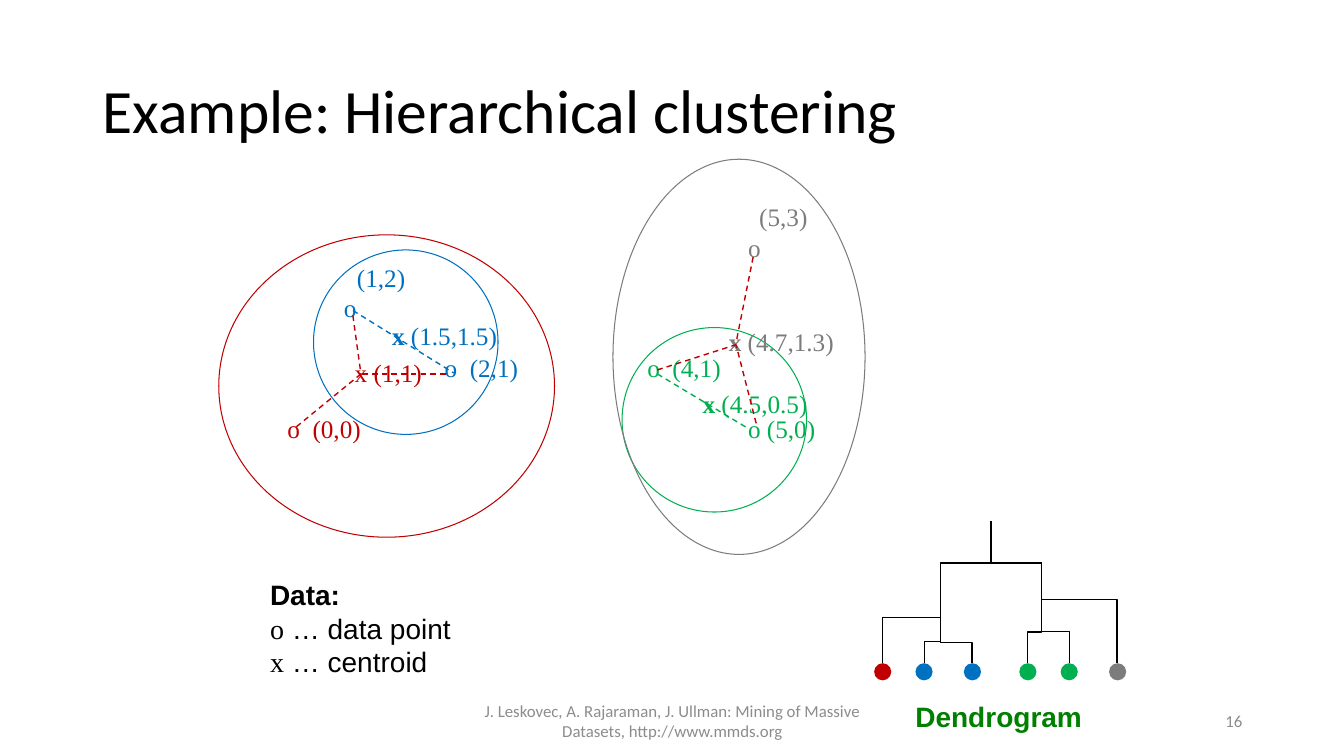
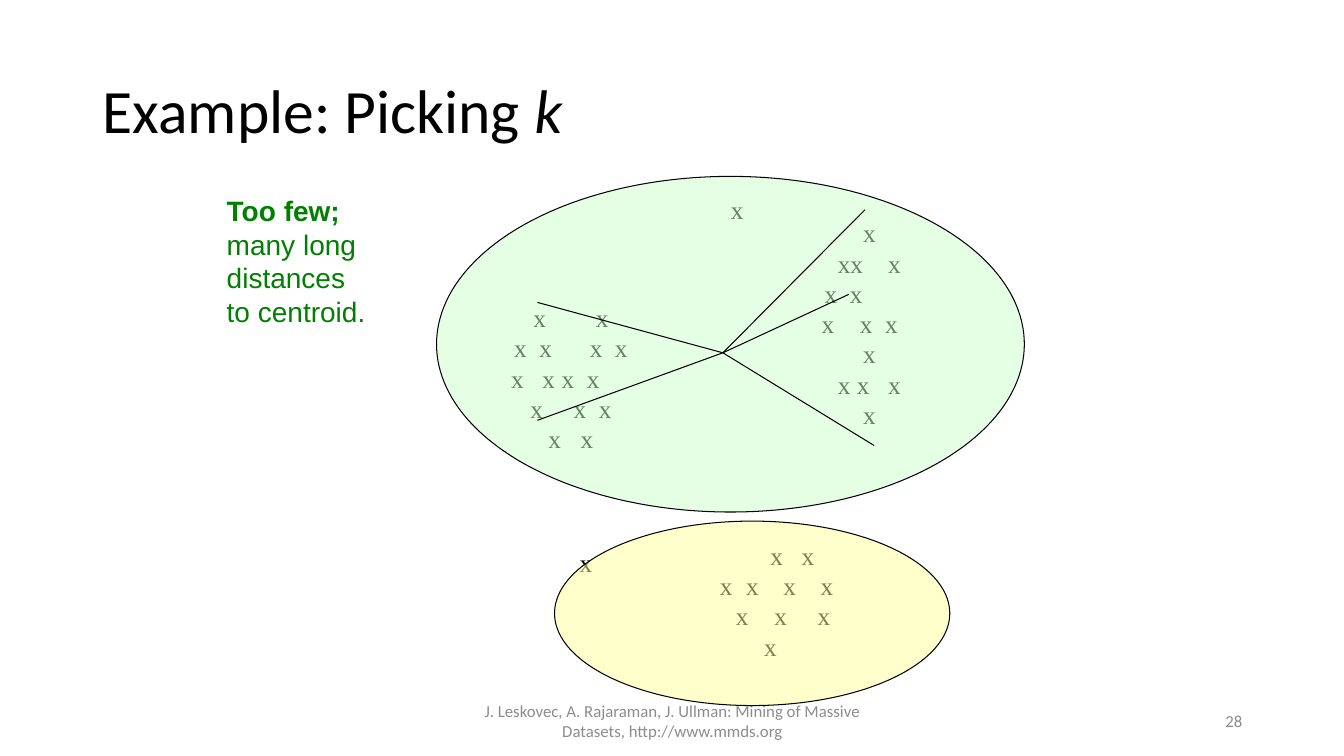
"""Build two slides on clustering: a hierarchical example and the choice of k."""
import dataclasses
import typing

import lxml.etree
import pptx
import pptx.dml.color
import pptx.enum.dml
import pptx.enum.shapes
import pptx.enum.text
import pptx.oxml.ns
import pptx.util

Inches = pptx.util.Inches
Pt = pptx.util.Pt
qn = pptx.oxml.ns.qn
ALIGN = pptx.enum.text.PP_ALIGN
ANCHOR = pptx.enum.text.MSO_ANCHOR
CONNECTOR = pptx.enum.shapes.MSO_CONNECTOR

BLACK, GRAY, MUTED = "000000", "7C7C7C", "8C8C8C"
RED, BLUE, GREEN, DARK_GREEN = "C00000", "0070C0", "00B050", "008000"
ROW_PITCH = Pt(21.6)
FOOTER = (
    "J. Leskovec, A. Rajaraman, J. Ullman: Mining of Massive Datasets, "
    "http://www.mmds.org"
)
TITLE_FORMAT = {"name": "Calibri", "size": Pt(44)}
FOOTER_FORMAT = {"name": "Calibri", "size": Pt(12)}
MARK_FORMAT = {"name": "Times New Roman", "size": Pt(18)}
NOTE_FORMAT = {"name": "Arial", "size": Pt(20)}
NOTE_MARK_FORMAT = NOTE_FORMAT | {"name": "Times New Roman"}
BOLD = {"bold": True}
Point = tuple[float, float]


class Box(typing.NamedTuple):
    """Left, top, width and height in inches."""

    left: float
    top: float
    width: float
    height: float

    def lengths(self) -> list[int]:
        return [Inches(value) for value in self]


@dataclasses.dataclass
class Run:
    """A stretch of text with one format."""

    text: str
    format: dict
    color: str = BLACK


@dataclasses.dataclass
class Mark:
    """A piece of text at a distance in inches from the left of its box."""

    position: float
    text: str = "x"
    color: str = BLACK


@dataclasses.dataclass
class Row:
    """Marks on one line, after a number of skipped lines."""

    marks: list[Mark]
    skipped: int = 0


@dataclasses.dataclass
class Ellipse:
    """An ellipse with an optional outline, fill and opacity in percent."""

    box: Box
    line: str | None = None
    fill: str | None = None
    opacity: int = 100


@dataclasses.dataclass
class Segment:
    """A straight line."""

    begin: Point
    end: Point
    color: str = BLACK
    width: float = 0.75
    dashed: bool = False


@dataclasses.dataclass
class Branch:
    """A bent line that rises, crosses at a share of its height and rises again."""

    begin: Point
    end: Point
    bend: float = 0.5


def rgb(color: str) -> pptx.dml.color.RGBColor:
    """Turn a hex string into a colour."""
    return pptx.dml.color.RGBColor.from_string(color)


def apply(target: typing.Any, values: dict) -> None:
    """Set each named value as an attribute."""
    for name, value in values.items():
        setattr(target, name, value)


def add_run(paragraph, run: Run) -> None:
    """Append a formatted run to a paragraph."""
    text_run = paragraph.add_run()
    text_run.text = run.text
    apply(text_run.font, run.format)
    text_run.font.color.rgb = rgb(run.color)


def add_frame(slide, box: Box, values: dict):
    """Add a wrapping text box and return its frame."""
    frame = slide.shapes.add_textbox(*box.lengths()).text_frame
    apply(frame, {"word_wrap": True} | values)
    return frame


def next_paragraph(frame, index: int):
    """Return the first paragraph of a frame, or a new one."""
    return frame.add_paragraph() if index else frame.paragraphs[0]


def add_text(slide, box: Box, lines: list[list[Run]], anchor=ANCHOR.TOP, **values) -> None:
    """Add paragraphs of runs in a text box."""
    frame = add_frame(slide, box, {"vertical_anchor": anchor})
    for index, line in enumerate(lines):
        paragraph = next_paragraph(frame, index)
        apply(paragraph, values)
        for run in line:
            add_run(paragraph, run)


def add_marks(slide, box: Box, rows: list[Row]) -> None:
    """Add rows of marks, each mark held by a tab stop."""
    margins = dict.fromkeys(
        ("margin_left", "margin_top", "margin_right", "margin_bottom"), 0
    )
    frame = add_frame(slide, box, margins)
    for index, row in enumerate(rows):
        paragraph = next_paragraph(frame, index)
        apply(paragraph, {"line_spacing": ROW_PITCH, "space_before": ROW_PITCH * row.skipped})
        properties = paragraph._p.get_or_add_pPr()
        stops = lxml.etree.SubElement(properties, qn("a:tabLst"))
        for mark in row.marks:
            position = str(Inches(mark.position))
            lxml.etree.SubElement(stops, qn("a:tab"), pos=position, algn="l")
            add_run(paragraph, Run("\t" + mark.text, MARK_FORMAT, mark.color))


def add_ellipse(slide, ellipse: Ellipse) -> None:
    """Draw an ellipse."""
    shape = slide.shapes.add_shape(
        pptx.enum.shapes.MSO_SHAPE.OVAL, *ellipse.box.lengths()
    )
    shape.shadow.inherit = False
    if ellipse.fill:
        shape.fill.solid()
        shape.fill.fore_color.rgb = rgb(ellipse.fill)
        color = shape._element.spPr.find(f"{qn('a:solidFill')}/{qn('a:srgbClr')}")
        if ellipse.opacity < 100:
            lxml.etree.SubElement(color, qn("a:alpha"), val=str(ellipse.opacity * 1000))
    else:
        shape.fill.background()
    if ellipse.line:
        shape.line.color.rgb = rgb(ellipse.line)
        shape.line.width = Pt(0.75)
    else:
        shape.line.fill.background()


def add_line(slide, segment: Segment, kind=CONNECTOR.STRAIGHT):
    """Draw a connector without a shadow."""
    ends = [Inches(value) for value in (*segment.begin, *segment.end)]
    connector = slide.shapes.add_connector(kind, *ends)
    connector.line.color.rgb = rgb(segment.color)
    connector.line.width = Pt(segment.width)
    if segment.dashed:
        connector.line.dash_style = pptx.enum.dml.MSO_LINE.DASH
    lxml.etree.SubElement(connector._element.spPr, qn("a:effectLst"))
    return connector


def add_branch(slide, branch: Branch) -> None:
    """Draw an elbow connector turned so that it starts upwards."""
    (left, bottom), (right, top) = branch.begin, branch.end
    direction = 1 if right > left else -1
    middle_x, middle_y = (left + right) / 2, (top + bottom) / 2
    reach, half_width = direction * (bottom - top) / 2, abs(right - left) / 2
    segment = Segment(
        (middle_x + reach, middle_y + half_width),
        (middle_x - reach, middle_y - half_width),
        width=1,
    )
    properties = add_line(slide, segment, CONNECTOR.ELBOW)._element.spPr
    properties.find(qn("a:xfrm")).set("rot", str((180 - 90 * direction) * 60000))
    adjustments = properties.find(f"{qn('a:prstGeom')}/{qn('a:avLst')}")
    formula = f"val {round(branch.bend * 100000)}"
    lxml.etree.SubElement(adjustments, qn("a:gd"), name="adj1", fmla=formula)


def add_slide(presentation, title: list[Run], number: int):
    """Add a slide with its title, footer and number."""
    slide = presentation.slides.add_slide(presentation.slide_layouts[6])
    middle = ANCHOR.MIDDLE
    add_text(slide, Box(0.92, 0.4, 11.5, 1.45), [title], middle, line_spacing=0.9)
    for box, text, alignment in (
        (Box(4.42, 6.95, 4.5, 0.4), FOOTER, ALIGN.CENTER),
        (Box(9.42, 6.95, 3, 0.4), str(number), ALIGN.RIGHT),
    ):
        run = Run(text, FOOTER_FORMAT, MUTED)
        add_text(slide, box, [[run]], middle, alignment=alignment)
    return slide


def build_hierarchy(presentation) -> None:
    """Build the slide with nested clusters and their dendrogram."""
    slide = add_slide(presentation, [Run("Example: Hierarchical clustering", TITLE_FORMAT)], 16)
    add_marks(slide, Box(2, 2, 6.5, 2.6), [
        Row([Mark(5.53, "(5,3)", GRAY)]),
        Row([Mark(5.42, "o", GRAY)]),
        Row([Mark(1.54, "(1,2)", BLUE)]),
        Row([Mark(1.41, "o", BLUE)]),
        Row([Mark(2.41, "o", BLUE), Mark(2.66, "(2,1)", BLUE),
             Mark(4.42, "o", GREEN), Mark(4.67, "(4,1)", GREEN)], 1),
        Row([Mark(0.85, "o", RED), Mark(1.1, "(0,0)", RED), Mark(5.42, "o (5,0)", GREEN)], 1),
    ])
    for box, color, label_at, label, weight in (
        (Box(3.11, 2.48, 1.83, 1.83), BLUE, (3.79, 3.13), " (1.5,1.5)", BOLD),
        (Box(6.17, 3.25, 1.83, 1.83), GREEN, (6.87, 3.8), " (4.5,0.5)", BOLD),
        (Box(2.17, 2.33, 3.33, 3), RED, (3.42, 3.5), " (1,1)", {}),
        (Box(6.08, 1.58, 2.5, 3.92), GRAY, (7.13, 3.19), " (4.7,1.3)", BOLD),
    ):
        add_ellipse(slide, Ellipse(box, color))
        runs = [Run("x", MARK_FORMAT | weight, color), Run(label, MARK_FORMAT, color)]
        add_text(slide, Box(*label_at, 1.4, 0.4), [runs])
    for left, color in (
        (8.67, RED), (9.08, BLUE), (9.56, BLUE), (10.11, GREEN), (10.52, GREEN), (11, GRAY),
    ):
        add_ellipse(slide, Ellipse(Box(left, 6.58, 0.17, 0.17), fill=color))
    for branch in (
        Branch((8.75, 6.58), (9.33, 5.67)),
        Branch((9.17, 6.58), (9.33, 6.08), 0.43),
        Branch((9.64, 6.58), (9.33, 6.17)),
        Branch((10.19, 6.58), (10.33, 6.17), 0.76),
        Branch((10.61, 6.58), (10.33, 5.92), 0.48),
        Branch((11.08, 6.58), (10.33, 5.58), 0.63),
        Branch((9.33, 6), (9.83, 5.17)),
        Branch((10.33, 5.83), (9.83, 5.17), 0.37),
    ):
        add_branch(slide, branch)
    add_text(slide, Box(2.58, 5.68, 2.2, 1.11), [
        [Run("Data:", NOTE_FORMAT | BOLD)],
        [Run("o", NOTE_MARK_FORMAT), Run(" … data point", NOTE_FORMAT)],
        [Run("x", NOTE_MARK_FORMAT), Run(" … centroid", NOTE_FORMAT)],
    ])
    dendrogram = Run("Dendrogram", NOTE_FORMAT | BOLD, DARK_GREEN)
    add_text(slide, Box(8.98, 6.89, 2, 0.44), [[dendrogram]])
    for begin, end, color in (
        ((3.5, 3.08), (4.5, 3.7), BLUE),
        ((6.52, 3.71), (7.42, 4.25), GREEN),
        ((3.5, 3.13), (3.58, 3.71), RED),
        ((4.42, 3.71), (3.58, 3.71), RED),
        ((3.58, 3.71), (2.92, 4.25), RED),
        ((7.47, 2.55), (7.3, 3.4), RED),
        ((6.52, 3.67), (7.3, 3.42), RED),
        ((7.5, 4.2), (7.3, 3.42), RED),
    ):
        add_line(slide, Segment(begin, end, color, 1, True))


def build_picking(presentation) -> None:
    """Build the slide with too few clusters."""
    title = [Run("Example: Picking ", TITLE_FORMAT), Run("k", TITLE_FORMAT | {"italic": True})]
    slide = add_slide(presentation, title, 28)
    for box, rows in (
        (Box(5, 3, 1.5, 1.5), [(0.29, 0.91), (0.1, 0.35, 0.85, 1.1),
                               (0.07, 0.38, 0.57, 0.82), (0.26, 0.69, 0.94), (0.44, 0.76)]),
        (Box(8, 2.16, 1.2, 2.1), [(0.56,), (0.31, 0.81), (0.18, 0.43), (0.15, 0.53, 0.78),
                                  (0.56,), (0.31, 0.5, 0.81), (0.56,)]),
        (Box(7, 5.36, 1.5, 1.2), [(0.64, 0.95), (0.14, 0.4, 0.77, 1.14),
                                  (0.3, 0.68, 1.11), (0.58,)]),
        (Box(7.15, 1.93, 0.33, 0.3), [(0.1,)]),
        (Box(5.65, 5.43, 0.33, 0.3), [(0.1,)]),
    ):
        add_marks(slide, box, [
            Row([Mark(left, "xx" if left == 0.31 and len(row) == 2 else "x") for left in row])
            for row in rows
        ])
    add_ellipse(slide, Ellipse(Box(4.33, 1.75, 5.83, 3.33), BLACK, "CCFFCC", 50))
    add_ellipse(slide, Ellipse(Box(5.5, 5.17, 3.92, 1.83), BLACK, "FFFF99", 50))
    for end in ((5.33, 3), (5.33, 4.17), (8.67, 4.42), (8.42, 2.92), (8.58, 2.08)):
        add_line(slide, Segment((7.17, 3.5), end))
    add_text(slide, Box(2.15, 1.87, 1.75, 1.45), [
        [Run(text, NOTE_FORMAT | weight, DARK_GREEN)]
        for text, weight in (
            ("Too few;", BOLD), ("many long", {}), ("distances", {}), ("to centroid.", {}),
        )
    ])


def main() -> None:
    """Build and save the presentation."""
    presentation = pptx.Presentation()
    apply(presentation, {"slide_width": Inches(13.33), "slide_height": Inches(7.5)})
    build_hierarchy(presentation)
    build_picking(presentation)
    presentation.save("out.pptx")


if __name__ == "__main__":
    main()
